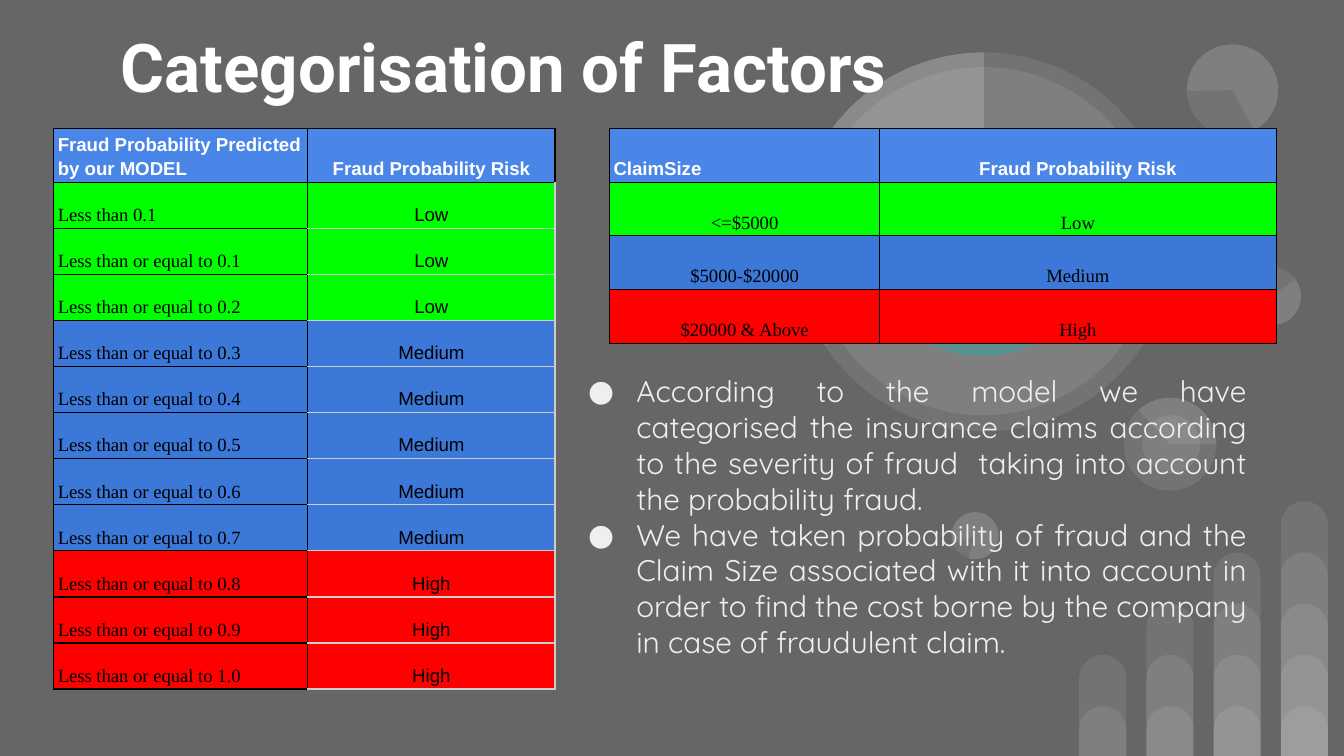
from lxml import etree
from pptx import Presentation
from pptx.dml.color import RGBColor
from pptx.enum.shapes import MSO_SHAPE
from pptx.enum.text import MSO_ANCHOR, MSO_AUTO_SIZE, PP_ALIGN
from pptx.oxml.ns import qn
from pptx.util import Inches, Pt

CELL = Inches(0.1)
COLUMNS, ROWS = 100, 56.25
BAR, CIRCLE, PIE = MSO_SHAPE.ROUND_2_SAME_RECTANGLE, MSO_SHAPE.OVAL, MSO_SHAPE.PIE
LEFT, CENTER, JUSTIFY = PP_ALIGN.LEFT, PP_ALIGN.CENTER, PP_ALIGN.JUSTIFY
TOP, MIDDLE, BOTTOM = MSO_ANCHOR.TOP, MSO_ANCHOR.MIDDLE, MSO_ANCHOR.BOTTOM
NO_FIT = MSO_AUTO_SIZE.NONE

COLORS = {
    "page": "666666", "white": "FFFFFF", "black": "000000", "teal": "599191",
    "header": "4A86E8", "Low": "00FF00", "Medium": "3C78D8", "High": "FF0000",
    "rule": "CCCCCC", "body": "EFEFEF",
}
TITLE_FONT = {"name": "Roboto", "size": Pt(36), "bold": True}
HEADER_FONT = {"name": "Arial", "size": Pt(10), "bold": True}
SERIF_FONT = {"name": "Times New Roman", "size": Pt(10), "bold": False}
SANS_FONT = {"name": "Arial", "size": Pt(10), "bold": False}
BODY_FONT = {"name": "Quicksand", "size": Pt(16)}

RISK_HEADING = "Fraud Probability Risk"
MODEL_HEADINGS = ("Fraud Probability Predicted by our MODEL", RISK_HEADING)
MODEL_RISKS = ["Low"] * 3 + ["Medium"] * 5 + ["High"] * 3
MODEL_LIMITS = ["Less than 0.1"] + [f"Less than or equal to {n / 10}" for n in range(1, 11)]
CLAIM_HEADINGS = ("ClaimSize", RISK_HEADING)
CLAIM_ROWS = [("<=$5000", "Low"), ("$5000-$20000", "Medium"), ("$20000 & Above", "High")]
POINTS = [
    "According to the model we have categorised the insurance claims according to "
    "the severity of fraud  taking into account the probability fraud.",
    "We have taken probability of fraud and the Claim Size associated with it into "
    "account in order to find the cost borne by the company in case of fraudulent claim.",
]
CIRCLES = [
    (33.4, 16.6, 4.3, 0, None, "white"),
    (11.7, 34.8, 3.5, 196.2, None, "white"),
    (24.5, 26.3, 6.9, 90, None, "white"),
    (24.5, 26.3, 6.9, 90, (137.41, 270), "white"),
    (25.9, 27.6, 4.3, 90, None, "white"),
    (33.4, 16.6, 4.3, 0, (322.95, 270), "white"),
    (29.2, 0, 6.8, 215.9, None, "white"),
    (29.2, 0, 6.8, 215.9, (322.95, 205.23), "white"),
    (0, 0.6, 28.2, 0, None, "white"),
    (1.1, 1.7, 25.9, 34.1, None, "white"),
    (0, 0.6, 28.2, 0, (146.69, 270), "white"),
    (5.5, 6.2, 17, 34.1, None, "teal"),
    (0, 0.6, 28.2, 0, (209.24, 270), "white"),
    (11.7, 34.8, 3.5, 196.2, (322.95, 270), "white"),
]


def color(name):
    return RGBColor.from_string(COLORS[name])


def grid(*lengths):
    return [round(length * CELL) for length in lengths]


def set_values(target, values):
    for name, value in values.items():
        setattr(target, name, value)


def write(para, text, font, color_name, align):
    para.alignment = align
    span = para.add_run()
    span.text = text
    set_values(span.font, font)
    span.font.color.rgb = color(color_name)


def set_frame(frame, anchor):
    set_values(frame, {"word_wrap": True, "auto_size": NO_FIT, "vertical_anchor": anchor})
    set_values(frame, {f"margin_{side}": CELL for side in ("left", "top", "right", "bottom")})


def add_decoration(page, kind, box, color_name="white"):
    shape = page.shapes.add_shape(kind, *grid(*box))
    shape.shadow.inherit = False
    shape.line.fill.background()
    shape.fill.solid()
    shape.fill.fore_color.rgb = color(color_name)
    if color_name == "white":
        tint = shape.element.spPr.find(f"{qn('a:solidFill')}/{qn('a:srgbClr')}")
        etree.SubElement(tint, qn("a:alpha"), val="9000")
    return shape


def draw_bars(page, box):
    left, top, width, height = box
    bar_width = 3.5
    step = (width - bar_width) / 3
    shortest = 3.7
    rise = (height - shortest) / 4
    for column in range(4):
        for level in range(column + 2):
            tall = shortest + rise * level
            bar = add_decoration(
                page, BAR, (left + step * column, top + height - tall, bar_width, tall))
            bar.adjustments[0] = 0.5


def draw_circles(page, box):
    for left, top, size, turn, angles, color_name in CIRCLES:
        place = (box[0] + left, box[1] + top, size, size)
        shape = add_decoration(page, PIE if angles else CIRCLE, place, color_name)
        shape.rotation = turn
        for index, angle in enumerate(angles or ()):
            shape.adjustments[index] = angle * 0.6


def draw_title(page, box, text):
    title = page.shapes.title
    set_values(title, dict(zip(("left", "top", "width", "height"), grid(*box))))
    set_frame(title.text_frame, MIDDLE)
    write(title.text_frame.paragraphs[0], text, TITLE_FONT, "white", LEFT)
    title.element.getparent().append(title.element)


def set_borders(cell, side_colors):
    properties = cell._tc.get_or_add_tcPr()
    for index, (side, color_name) in enumerate(side_colors.items()):
        line = etree.Element(qn(f"a:ln{side}"), w=str(Pt(0.75)))
        fill = etree.SubElement(line, qn("a:solidFill"))
        etree.SubElement(fill, qn("a:srgbClr"), val=COLORS[color_name])
        properties.insert(index, line)


def draw_table(page, box, headings, records, widths, heights, fonts, aligns, pale_rules):
    rows = [headings, *records]
    table = page.shapes.add_table(len(rows), len(headings), *grid(*box)).table
    for column, width in zip(table.columns, grid(*widths)):
        column.width = width
    for row, height in zip(table.rows, grid(*heights)):
        row.height = height
    for r, record in enumerate(rows):
        for c, text in enumerate(record):
            cell = table.cell(r, c)
            set_values(cell, {
                "vertical_anchor": BOTTOM,
                "margin_left": Inches(0.03), "margin_right": Inches(0.03),
                "margin_top": Inches(0.02), "margin_bottom": Inches(0.02),
            })
            cell.fill.solid()
            cell.fill.fore_color.rgb = color(record[-1] if r else "header")
            para = cell.text_frame.paragraphs[0]
            para.line_spacing = 1.15
            if r:
                write(para, text, fonts[c], "black", aligns[c])
            else:
                write(para, text, HEADER_FONT, "white", (LEFT, CENTER)[c])
            sides = dict.fromkeys("LRTB", "black")
            if pale_rules and r and c:
                sides.update(R="rule", B="rule", T="rule" if r > 1 else "black")
            set_borders(cell, sides)


def draw_points(page, box, points):
    frame = page.shapes.add_textbox(*grid(*box)).text_frame
    set_frame(frame, TOP)
    for index, point in enumerate(points):
        para = frame.add_paragraph() if index else frame.paragraphs[0]
        write(para, point, BODY_FONT, "body", JUSTIFY)
        properties = para._p.get_or_add_pPr()
        properties.set("marL", str(Inches(0.5)))
        properties.set("indent", str(Inches(-0.36)))
        tint = etree.SubElement(properties, qn("a:buClr"))
        etree.SubElement(tint, qn("a:srgbClr"), val=COLORS["body"])
        etree.SubElement(properties, qn("a:buFont"), typeface=BODY_FONT["name"])
        etree.SubElement(properties, qn("a:buChar"), char="●")


def main():
    deck = Presentation()
    deck.slide_width, deck.slide_height = grid(COLUMNS, ROWS)
    page = deck.slides.add_slide(deck.slide_layouts[5])
    page.background.fill.solid()
    page.background.fill.fore_color.rgb = color("page")
    draw_bars(page, (80.3, 37.3, 18.5, 18.95))
    draw_circles(page, (59.1, 3.3, 37.7, 38.3))
    draw_title(page, (8, 2.15, 85.9, 5.5), "Categorisation of Factors")
    draw_table(page, (4, 9.55, 37.3, 41.8), MODEL_HEADINGS, zip(MODEL_LIMITS, MODEL_RISKS),
               (18.9, 18.4), [4] + [3.43] * 11, (SERIF_FONT, SANS_FONT), (LEFT, CENTER), True)
    draw_points(page, (41.37, 26.75, 52.4, 24.8), POINTS)
    draw_table(page, (45.35, 9.55, 49.6, 16), CLAIM_HEADINGS, CLAIM_ROWS,
               (20.1, 29.5), [4] * 4, (SERIF_FONT, SERIF_FONT), (CENTER, CENTER), False)
    deck.save("out.pptx")


if __name__ == "__main__":
    main()
